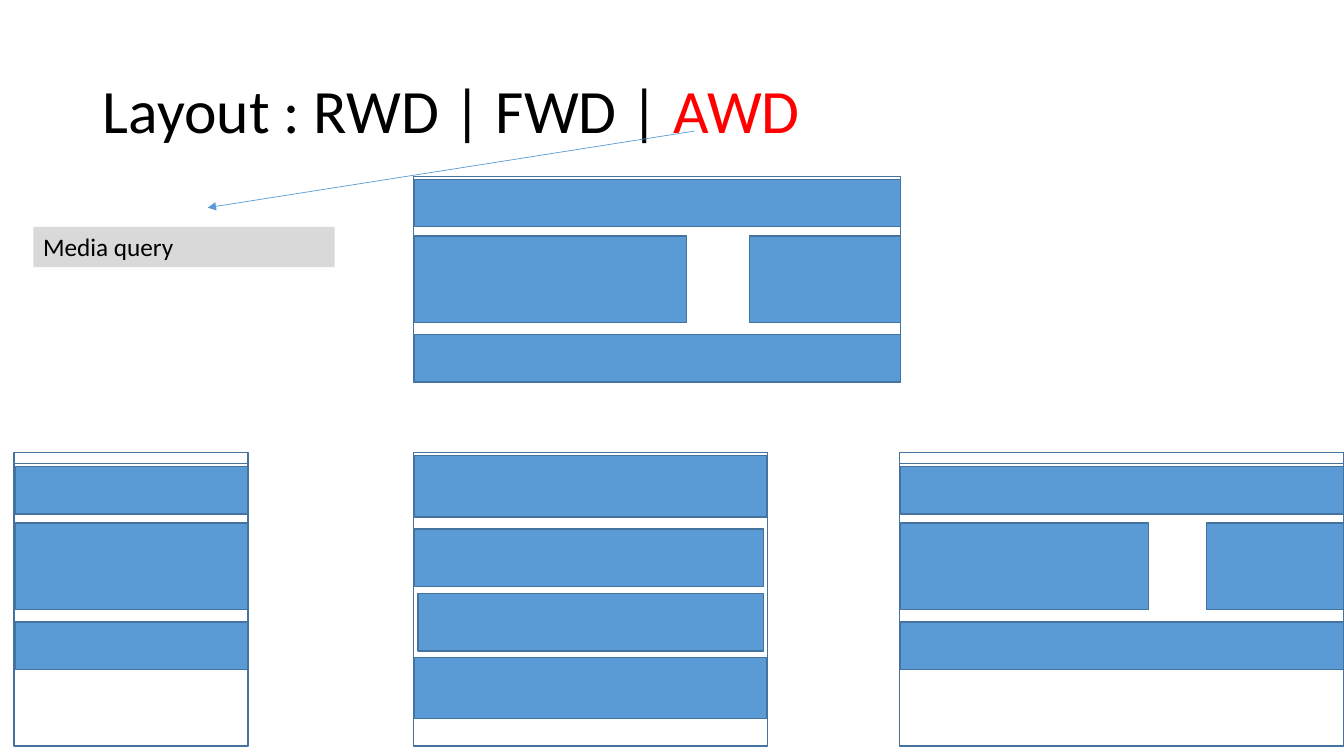
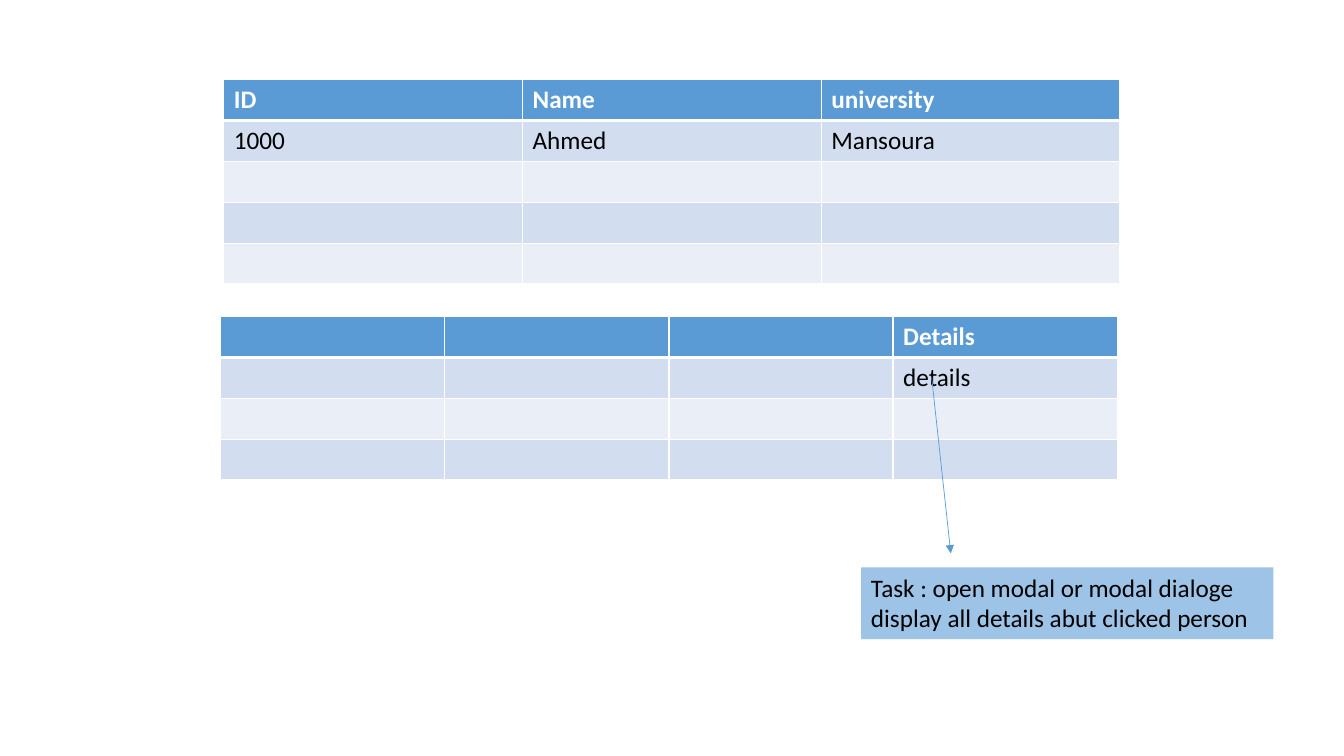
"""Builds two slides on page layouts and on a details dialogue."""
import pptx
import pptx.dml.color
import pptx.enum.shapes
import pptx.enum.text
import pptx.oxml
import pptx.oxml.ns
import pptx.util
from pptx.util import Inches

HEADER = (0.03, 0.47, [(0, 1)])
FOOTER = (1.57, 0.47, [(0, 1)])
COLUMNS = [HEADER, (0.59, 0.86, [(0, 0.56), (0.69, 1)]), FOOTER]
SINGLE = [HEADER, (0.59, 0.86, [(0, 1)]), FOOTER]
STACKED = [
    (0.03, 0.61, [(0, 1)]),
    (0.76, 0.57, [(0, 0.99)]),
    (1.4, 0.57, [(0.01, 0.99)]),
    (2.03, 0.61, [(0, 1)]),
]


def colour(value):
    """Turn a hex string into a colour."""
    return pptx.dml.color.RGBColor.from_string(value)


def element(tag, **attributes):
    """Make an XML element in the drawing namespace."""
    node = pptx.oxml.parse_xml(f"<a:{tag} {pptx.oxml.ns.nsdecls('a')}/>")
    for name, value in attributes.items():
        node.set(name, str(value))
    return node


class Slides:
    """Holds the deck, its style and the current page."""

    FONT = "Calibri"
    BLUE, EDGE = "5B9BD5", "43739E"
    BLACK, WHITE = "000000", "FFFFFF"
    BANDS = ("D2DEEF", "EAEFF7")

    def __init__(self):
        """Start a wide deck."""
        self.deck = pptx.Presentation()
        self.deck.slide_width = Inches(13.33)
        self.deck.slide_height = Inches(7.5)
        self.page = None

    def add_page(self, layout):
        """Add a page and make it current."""
        self.page = self.deck.slides.add_slide(self.deck.slide_layouts[layout])

    def style(self, para, size, shade, bold=False):
        """Set the font of a paragraph."""
        para.font.name = self.FONT
        para.font.size = pptx.util.Pt(size)
        para.font.bold = bold
        para.font.color.rgb = colour(shade)

    def title(self, text, accent):
        """Fill the title, its end in red."""
        box = self.page.shapes.title
        box.left, box.top = Inches(0.92), Inches(0.4)
        box.width, box.height = Inches(11.5), Inches(1.45)
        frame = box.text_frame
        frame.auto_size = pptx.enum.text.MSO_AUTO_SIZE.NONE
        frame.vertical_anchor = pptx.enum.text.MSO_ANCHOR.MIDDLE
        para = frame.paragraphs[0]
        para.alignment = pptx.enum.text.PP_ALIGN.LEFT
        para.line_spacing = 0.9
        self.style(para, 44, self.BLACK)
        para.add_run().text = text
        span = para.add_run()
        span.text = accent
        span.font.color.rgb = colour("FF0000")

    def rectangle(self, shapes, left, top, width, height, fill=None):
        """Draw an outlined rectangle, filled if a colour is given."""
        box = shapes.add_shape(
            pptx.enum.shapes.MSO_SHAPE.RECTANGLE,
            Inches(left), Inches(top), Inches(width), Inches(height))
        box.shadow.inherit = False
        box.line.color.rgb = colour(self.EDGE)
        box.line.width = pptx.util.Pt(1)
        if fill:
            box.fill.solid()
            box.fill.fore_color.rgb = colour(fill)
        else:
            box.fill.background()

    def wireframe(self, left, top, width, rows):
        """Draw a page layout as a group of blocks in a frame."""
        shapes = self.page.shapes.add_group_shape().shapes
        last_top, last_height, _ = rows[-1]
        self.rectangle(shapes, left, top, width, last_top + last_height)
        inset = 0.01
        room = width - inset
        for offset, height, blocks in rows:
            for start, end in blocks:
                self.rectangle(shapes, left + inset + start * room, top + offset,
                               (end - start) * room, height, self.BLUE)

    def screen(self, left, width):
        """Draw the outline of a device screen."""
        self.rectangle(self.page.shapes, left, 4.49, width, 2.91)

    def arrow(self, start, end):
        """Draw a thin arrow between two points."""
        line = self.page.shapes.add_connector(
            pptx.enum.shapes.MSO_CONNECTOR.STRAIGHT,
            *(Inches(length) for length in start + end))
        line.line.color.rgb = colour(self.BLUE)
        line.line.width = pptx.util.Pt(0.5)
        properties = line._element.spPr
        properties.find(pptx.oxml.ns.qn("a:ln")).append(
            element("tailEnd", type="triangle"))
        properties.append(element("effectLst"))

    def label(self, left, top, width, height, text, fill):
        """Add a filled text box."""
        box = self.page.shapes.add_textbox(
            Inches(left), Inches(top), Inches(width), Inches(height))
        box.fill.solid()
        box.fill.fore_color.rgb = colour(fill)
        frame = box.text_frame
        frame.word_wrap = True
        frame.auto_size = pptx.enum.text.MSO_AUTO_SIZE.SHAPE_TO_FIT_TEXT
        frame.text = text
        self.style(frame.paragraphs[0], 18, self.BLACK)

    def borders(self, cell, top, bottom):
        """Give a cell white borders, in points."""
        properties = cell._tc.get_or_add_tcPr()
        for tag, points in (("lnL", 1), ("lnR", 1), ("lnT", top), ("lnB", bottom)):
            line = element(tag, w=pptx.util.Pt(points))
            solid = element("solidFill")
            solid.append(element("srgbClr", val=self.WHITE))
            line.append(solid)
            properties.append(line)

    def table(self, left, top, rows):
        """Add a table with a blue heading and banded rows."""
        width, row_height = 8.89, 0.405
        table = self.page.shapes.add_table(
            len(rows), len(rows[0]), Inches(left), Inches(top),
            Inches(width), Inches(row_height * len(rows))).table
        for index, texts in enumerate(rows):
            heading = index == 0
            fill = self.BLUE if heading else self.BANDS[(index - 1) % 2]
            for column, text in enumerate(texts):
                cell = table.cell(index, column)
                self.borders(cell, 3 if index == 1 else 1, 3 if heading else 1)
                cell.fill.solid()
                cell.fill.fore_color.rgb = colour(fill)
                cell.text = text
                self.style(cell.text_frame.paragraphs[0], 18,
                           self.WHITE if heading else self.BLACK, heading)


def main():
    """Build both pages and save the deck."""
    slides = Slides()

    slides.add_page(5)
    slides.title("Layout : RWD | FWD | ", "AWD")
    slides.wireframe(4.1, 1.75, 4.83, COLUMNS)
    for left, top, width, rows in (
            (0.14, 4.6, 2.32, SINGLE),
            (4.1, 4.49, 3.51, STACKED),
            (8.92, 4.6, 4.41, COLUMNS)):
        slides.wireframe(left, top, width, rows)
        slides.screen(left, width)
    slides.arrow((6.89, 1.3), (2.06, 2.06))
    slides.label(0.33, 2.25, 2.99, 0.4, "Media query", "D9D9D9")

    slides.add_page(6)
    slides.table(2.22, 0.79, [
        ["ID", "Name", "university"],
        ["1000", "Ahmed", "Mansoura"],
        *[[""] * 3] * 3,
    ])
    slides.table(2.19, 3.14, [
        ["", "", "", "Details"],
        ["", "", "", "details"],
        *[[""] * 4] * 2,
    ])
    slides.arrow((9.24, 3.74), (9.43, 5.49))
    slides.label(
        8.54, 5.63, 4.09, 0.71,
        "Task : open modal or modal dialoge display all details abut clicked person",
        "9DC3E6")

    slides.deck.save("out.pptx")


if __name__ == "__main__":
    main()
